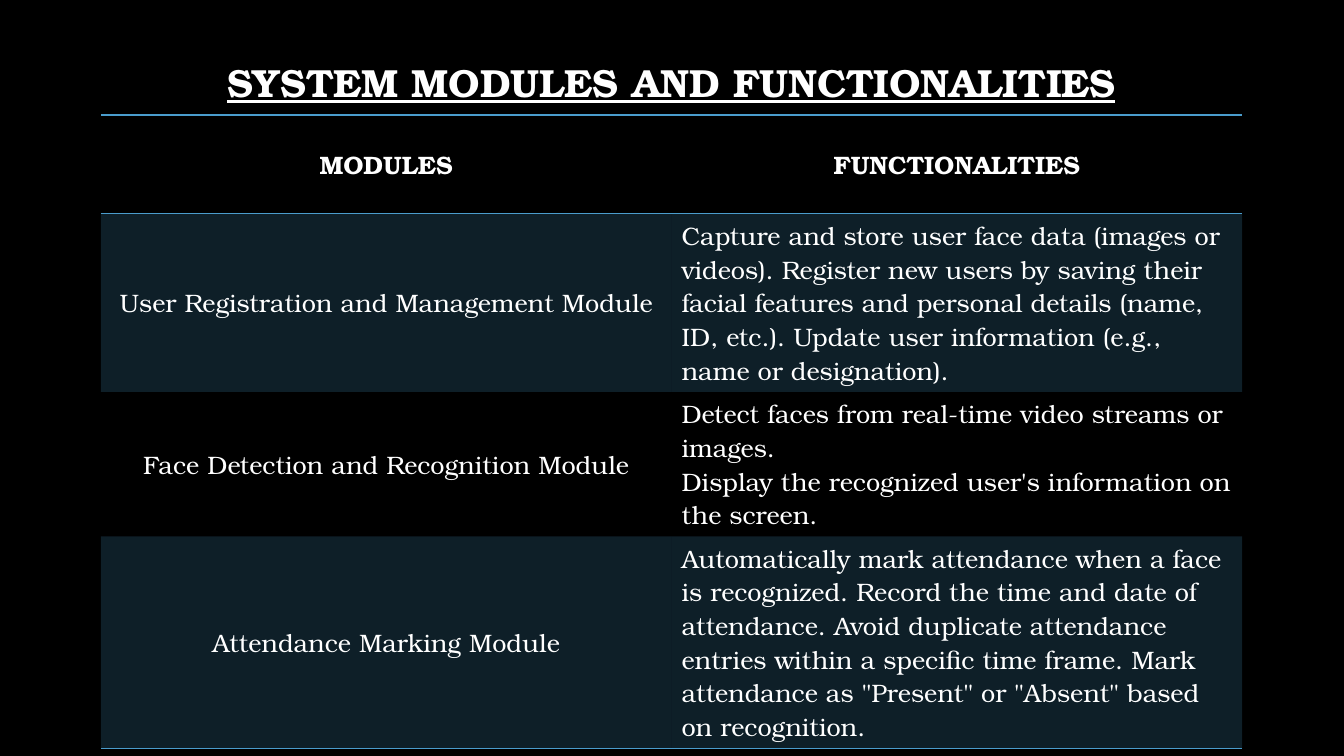
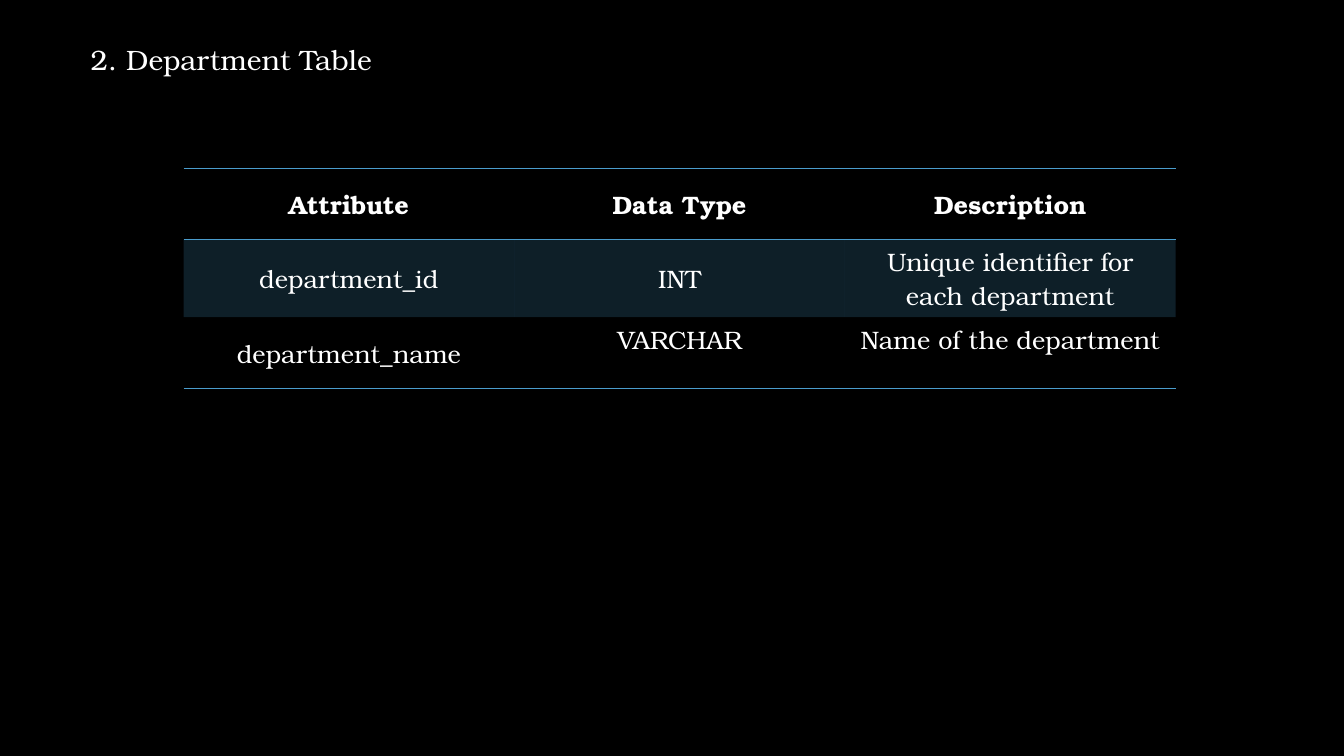
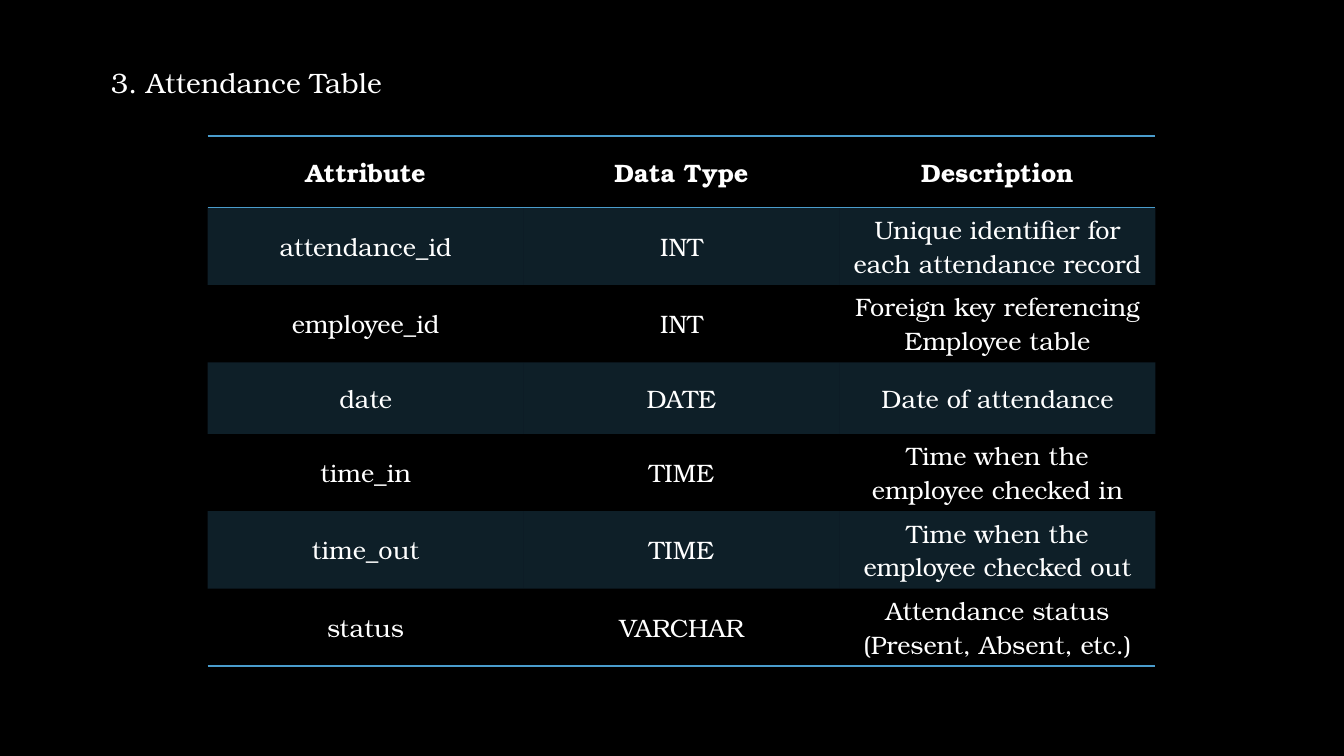
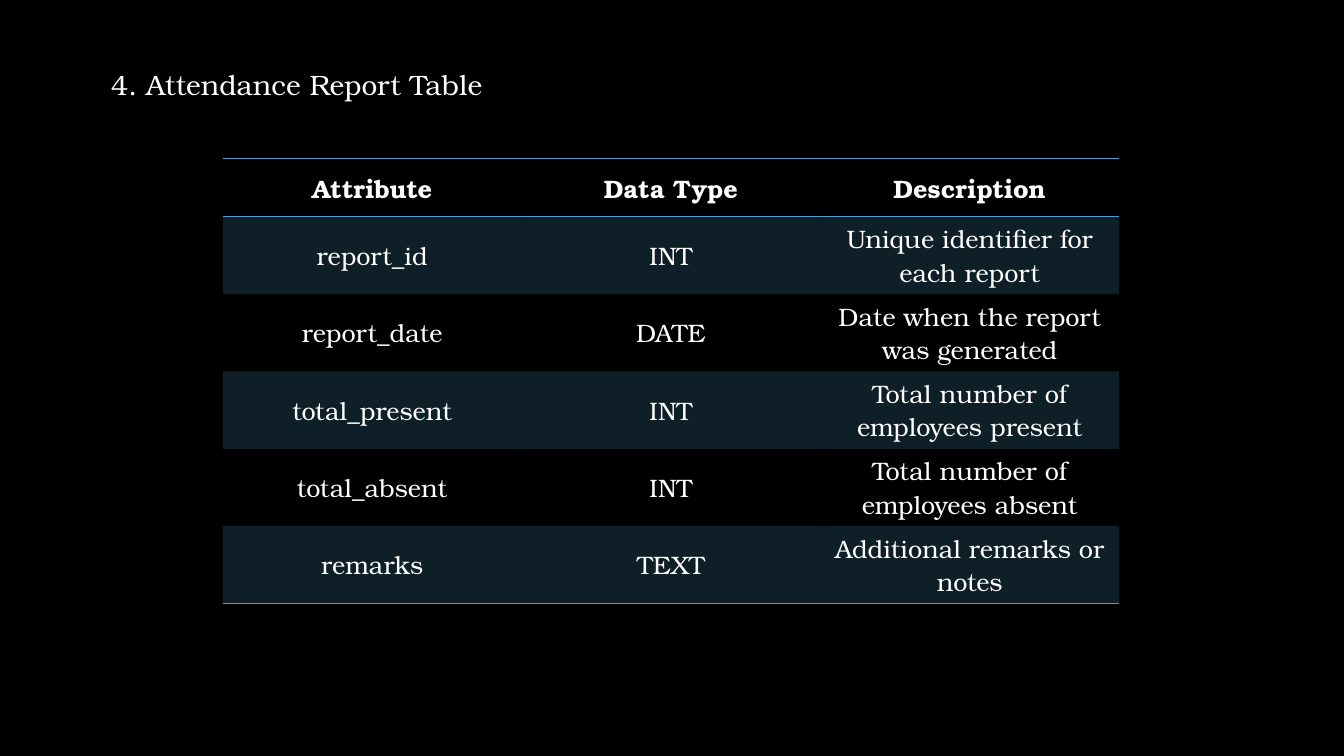
from lxml.etree import SubElement
from pptx import Presentation
from pptx.dml.color import RGBColor
from pptx.enum.text import MSO_ANCHOR, MSO_AUTO_SIZE, PP_ALIGN
from pptx.oxml import parse_xml
from pptx.oxml.ns import nsdecls, qn
from pptx.util import Inches, Pt

BLACK = RGBColor(0x00, 0x00, 0x00)
WHITE = RGBColor(0xFF, 0xFF, 0xFF)
BLUE = RGBColor(0x4A, 0x9C, 0xCC)
FONT = "TeX Gyre Bonum"
PLAIN_STYLE = "{2D5ABB26-0587-4C30-8999-92F81FD0307C}"
BAND_ALPHA = "20000"
TITLE_ONLY = 5

TITLE = {"size": Pt(28), "bold": True, "underline": True}
HEADING = {"size": Pt(20), "bold": False}
HEADER_CELL = {"size": Pt(18), "bold": True}
BODY_CELL = {"size": Pt(18), "bold": False}
TITLE_LAYOUT = {"alignment": PP_ALIGN.CENTER, "line_spacing": 0.9}
HEADING_LAYOUT = {"alignment": PP_ALIGN.LEFT, "line_spacing": 1.2}
SCHEMA_HEADER = ("Attribute", "Data Type", "Description")

MODULE_ROWS = [
    ("MODULES", "FUNCTIONALITIES"),
    ("User Registration and Management Module",
     "Capture and store user face data (images or videos). Register new users by saving "
     "their facial features and personal details (name, ID, etc.). Update user "
     "information (e.g., name or designation)."),
    ("Face Detection and Recognition Module",
     "Detect faces from real-time video streams or images.\n"
     "Display the recognized user's information on the screen."),
    ("Attendance Marking Module",
     "Automatically mark attendance when a face is recognized. Record the time and date "
     "of attendance. Avoid duplicate attendance entries within a specific time frame. "
     'Mark attendance as "Present" or "Absent" based on recognition.'),
]

SCHEMA_PAGES = [
    {
        "heading": "2. Department Table",
        "heading_at": (0.8, 0.31),
        "table_box": (1.82, 1.67, 9.84),
        "row_height": 0.71,
        "top_cells": {(2, 1), (2, 2)},
        "rows": [
            ("department_id", "INT", "Unique identifier for each department"),
            ("department_name", "VARCHAR", "Name of the department"),
        ],
    },
    {
        "heading": "3. Attendance Table",
        "heading_at": (1, 0.53),
        "table_box": (2.06, 1.35, 9.4),
        "row_height": 0.71,
        "rows": [
            ("attendance_id", "INT", "Unique identifier for each attendance record"),
            ("employee_id", "INT", "Foreign key referencing Employee table"),
            ("date", "DATE", "Date of attendance"),
            ("time_in", "TIME", "Time when the employee checked in"),
            ("time_out", "TIME", "Time when the employee checked out"),
            ("status", "VARCHAR", "Attendance status (Present, Absent, etc.)"),
        ],
    },
    {
        "heading": "4. Attendance Report Table",
        "heading_at": (1, 0.55),
        "table_box": (2.21, 1.57, 8.89),
        "row_height": 0.58,
        "rows": [
            ("report_id", "INT", "Unique identifier for each report"),
            ("report_date", "DATE", "Date when the report was generated"),
            ("total_present", "INT", "Total number of employees present"),
            ("total_absent", "INT", "Total number of employees absent"),
            ("remarks", "TEXT", "Additional remarks or notes"),
        ],
    },
]


def apply(target, values):
    for name, value in values.items():
        setattr(target, name, value)


def format_font(font, values):
    apply(font, {"name": FONT, **values})
    font.color.rgb = WHITE


def add_titled_page(deck, text, box, anchor, layout, font_values):
    page = deck.slides.add_slide(deck.slide_layouts[TITLE_ONLY])
    title = page.shapes.title
    apply(title, dict(zip(("left", "top", "width", "height"), map(Inches, box))))
    frame = title.text_frame
    frame.text = text
    apply(frame, {"word_wrap": True, "auto_size": MSO_AUTO_SIZE.NONE,
                  "vertical_anchor": anchor})
    para = frame.paragraphs[0]
    apply(para, {"space_before": Pt(0), **layout})
    format_font(para.runs[0].font, font_values)
    return page


def add_cell_line(cell, edge):
    line = parse_xml(
        f'<a:{edge} {nsdecls("a")} w="{Pt(1)}"><a:solidFill>'
        f'<a:srgbClr val="{BLUE}"/></a:solidFill></a:{edge}>')
    cell._tc.get_or_add_tcPr().insert(0, line)


def fill_cell(cell, banded):
    if not banded:
        cell.fill.background()
        return
    cell.fill.solid()
    cell.fill.fore_color.rgb = BLUE
    color = next(cell._tc.get_or_add_tcPr().iter(qn("a:srgbClr")))
    SubElement(color, qn("a:alpha")).set("val", BAND_ALPHA)


def write_cell(cell, text, alignment, anchor, font_values):
    cell.text = text
    cell.vertical_anchor = anchor
    for para in cell.text_frame.paragraphs:
        para.alignment = alignment
        for span in para.runs:
            format_font(span.font, font_values)


def add_ruled_table(page, box, rows, heights, top_cells=(), body_alignments=None):
    left, top, width = box
    columns = len(rows[0])
    frame = page.shapes.add_table(len(rows), columns, Inches(left), Inches(top),
                                  Inches(width), Inches(sum(heights)))
    table = frame.table
    table.horz_banding = False
    next(table._tbl.iter(qn("a:tableStyleId"))).text = PLAIN_STYLE
    for column in table.columns:
        column.width = Inches(width / columns)
    body_alignments = body_alignments or [PP_ALIGN.CENTER] * columns
    for row, (texts, height) in enumerate(zip(rows, heights)):
        table.rows[row].height = Inches(height)
        header = row == 0
        for column, text in enumerate(texts):
            cell = table.cell(row, column)
            anchor = MSO_ANCHOR.TOP if (row, column) in top_cells else MSO_ANCHOR.MIDDLE
            alignment = PP_ALIGN.CENTER if header else body_alignments[column]
            write_cell(cell, text, alignment, anchor,
                       HEADER_CELL if header else BODY_CELL)
            fill_cell(cell, row % 2 == 1)
            if header or row == len(rows) - 1:
                add_cell_line(cell, "lnB")
            if header:
                add_cell_line(cell, "lnT")


def add_modules_page(deck):
    page = add_titled_page(deck, "SYSTEM MODULES AND FUNCTIONALITIES",
                           (1, 0.32, 11.32, 1.05), MSO_ANCHOR.MIDDLE,
                           TITLE_LAYOUT, TITLE)
    add_ruled_table(page, (1, 1.14, 11.32), MODULE_ROWS, (0.98, 1.73, 1.4, 0.98),
                    {(row, 1) for row in range(1, len(MODULE_ROWS))},
                    (PP_ALIGN.CENTER, PP_ALIGN.LEFT))


def add_schema_page(deck, schema):
    page = add_titled_page(deck, schema["heading"], (*schema["heading_at"], 11.32, 0.6),
                           MSO_ANCHOR.TOP, HEADING_LAYOUT, HEADING)
    rows = [SCHEMA_HEADER, *schema["rows"]]
    add_ruled_table(page, schema["table_box"], rows, [schema["row_height"]] * len(rows),
                    schema.get("top_cells", ()))


def main():
    deck = Presentation()
    apply(deck, {"slide_width": Inches(13.33), "slide_height": Inches(7.5)})
    background = deck.slide_master.background.fill
    background.solid()
    background.fore_color.rgb = BLACK
    add_modules_page(deck)
    for schema in SCHEMA_PAGES:
        add_schema_page(deck, schema)
    deck.save("out.pptx")


if __name__ == "__main__":
    main()
